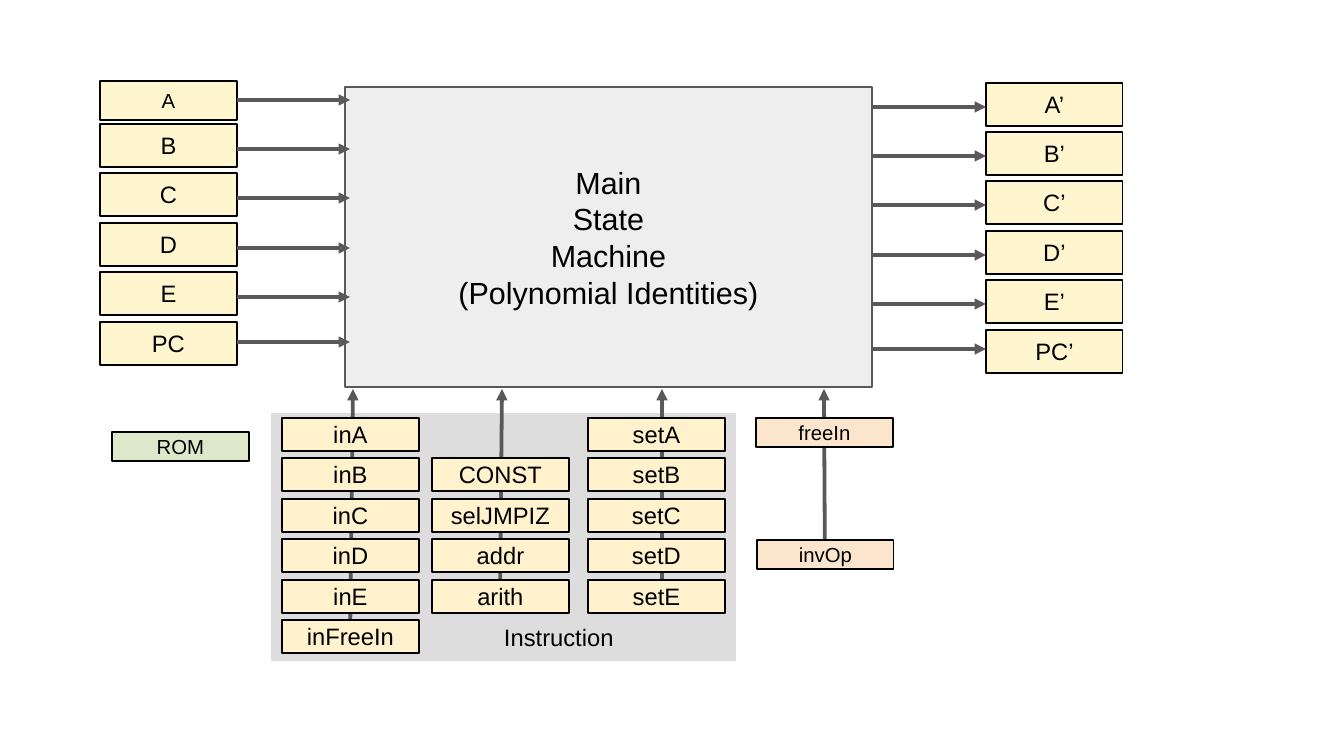
import lxml.etree
import pptx
import pptx.dml.color
import pptx.enum.shapes
import pptx.enum.text
import pptx.oxml.ns
import pptx.util

RGB = pptx.dml.color.RGBColor
BLACK = RGB(0x00, 0x00, 0x00)
WHITE = RGB(0xFF, 0xFF, 0xFF)
DARK_GRAY = RGB(0x59, 0x59, 0x59)
PANEL_GRAY = RGB(0xDD, 0xDD, 0xDD)
MACHINE_GRAY = RGB(0xEE, 0xEE, 0xEE)
REGISTER_YELLOW = RGB(0xFF, 0xF5, 0xCE)
FIELD_YELLOW = RGB(0xFF, 0xF2, 0xCC)
INPUT_ORANGE = RGB(0xFC, 0xE5, 0xCD)
ROM_GREEN = RGB(0xDD, 0xE8, 0xCB)

PX = 914400 / 122
BOX_WIDTH = 137
CENTER = pptx.enum.text.PP_ALIGN.CENTER

deck = pptx.Presentation()
deck.slide_width = round(1344 * PX)
deck.slide_height = round(756 * PX)
page = deck.slides.add_slide(deck.slide_layouts[6])


def add_box(left, top, width, height, fill, paragraphs=(), size=14, inset=3,
            line=BLACK, align=CENTER):
    """Add a box; each paragraph is a list of lines. Without fill it is a text box."""
    place = [round(value * PX) for value in (left, top, width, height)]
    if fill is None:
        box = page.shapes.add_textbox(*place)
    else:
        box = page.shapes.add_shape(pptx.enum.shapes.MSO_SHAPE.RECTANGLE, *place)
        box.shadow.inherit = False
        box.fill.solid()
        box.fill.fore_color.rgb = fill
        box.line.color.rgb = line
        box.line.width = pptx.util.Pt(0.75)
    frame = box.text_frame
    frame.word_wrap = True
    frame.vertical_anchor = pptx.enum.text.MSO_ANCHOR.MIDDLE
    frame.margin_left = frame.margin_right = round(12 * PX)
    frame.margin_top = frame.margin_bottom = round(inset * PX)
    for number, lines in enumerate(paragraphs):
        para = frame.add_paragraph() if number else frame.paragraphs[0]
        para.alignment = align
        for line_number, text in enumerate(lines):
            if line_number:
                para.add_line_break()
            span = para.add_run()
            span.text = text
            span.font.name = "Arial"
            span.font.size = pptx.util.Pt(size)
            span.font.color.rgb = BLACK


def add_arrow(*ends):
    """Add an arrow from the first point to the second."""
    arrow = page.shapes.add_connector(
        pptx.enum.shapes.MSO_CONNECTOR.STRAIGHT, *[round(value * PX) for value in ends])
    arrow.line.color.rgb = DARK_GRAY
    arrow.line.width = pptx.util.Pt(2.25)
    qn = pptx.oxml.ns.qn
    lxml.etree.SubElement(arrow.line._get_or_add_ln(), qn("a:tailEnd"), type="triangle")
    lxml.etree.SubElement(arrow._element.spPr, qn("a:effectLst"))


# Instruction panel and the upward arrows
add_arrow(825, 570, 824, 389)
add_box(270, 412, 467, 250, PANEL_GRAY, line=WHITE)
for start_x, start_y, end_x in ((662, 610, 662), (500, 610, 502), (350, 651, 353)):
    add_arrow(start_x, start_y, end_x, 389)

# Main state machine
add_box(345, 87, 527, 300, MACHINE_GRAY,
        (["Main"], ["State", "Machine"], ["(Polynomial Identities)"]),
        size=18, inset=12, line=DARK_GRAY)

# Registers before and after, with their arrows
for row, name in enumerate(("A", "B", "C", "D", "E", "PC")):
    offset = row * 247 // 5
    arrow_offset = offset - 5 if name == "PC" else offset
    top, height, size = (81, 39, 12) if name == "A" else (75 + offset, 43, 14)
    add_box(100, top, BOX_WIDTH, height, REGISTER_YELLOW, ([name],), size, inset=7)
    add_box(986, 83 + offset, BOX_WIDTH, 43, REGISTER_YELLOW, ([name + "’"],), inset=7)
    add_arrow(237, 100 + arrow_offset, 350, 100 + arrow_offset)
    add_arrow(872, 107 + arrow_offset, 986, 107 + arrow_offset)

# Instruction fields: left edge, first row, names
field_columns = (
    (282, 0, ("inA", "inB", "inC", "inD", "inE", "inFreeIn")),
    (432, 1, ("CONST", "selJMPIZ", "addr", "arith")),
    (588, 0, ("setA", "setB", "setC", "setD", "setE")),
)
for left, first_row, names in field_columns:
    for row, name in enumerate(names, first_row):
        add_box(left, 418 + row * 81 // 2, BOX_WIDTH, 33, FIELD_YELLOW, ([name],))
add_box(492, 611, 155, 52, None, (["Instruction"],), inset=12,
        align=pptx.enum.text.PP_ALIGN.LEFT)

# Free inputs and ROM
for left, top, fill, name in (
    (756, 418, INPUT_ORANGE, "freeIn"),
    (757, 540, INPUT_ORANGE, "invOp"),
    (112, 432, ROM_GREEN, "ROM"),
):
    add_box(left, top, BOX_WIDTH, 29, fill, ([name],), size=12)

deck.save("out.pptx")
